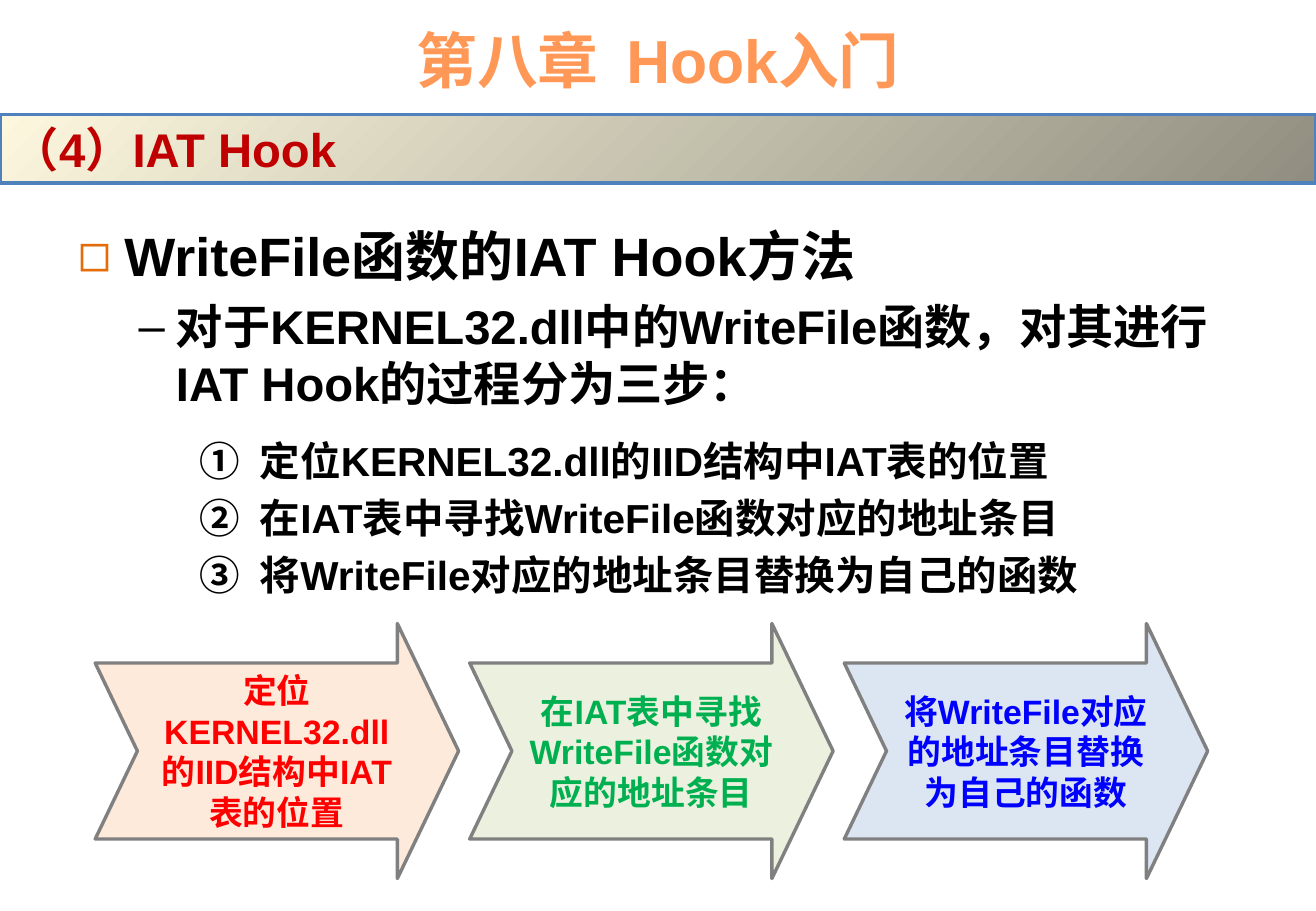
from dataclasses import dataclass

from lxml.etree import SubElement
from pptx import Presentation
from pptx.dml.color import RGBColor
from pptx.enum.shapes import MSO_SHAPE as Preset
from pptx.enum.text import MSO_ANCHOR as Anchor, PP_ALIGN as Align
from pptx.oxml.ns import qn
from pptx.util import Pt

EMU_PER_PX = 7620
FONT = "Arial"
COLORS = {
    "title": "FF9856",
    "black": "000000",
    "heading": "C00000",
    "bar_light": "FCF7DD",
    "bar_dark": "918E81",
    "bar_line": "4F81BD",
    "square": "E46C0A",
    "arrow_line": "808080",
    "peach": "FDEADA",
    "red": "FF0000",
    "pale_green": "EBF1DE",
    "green": "00B050",
    "pale_blue": "DCE6F2",
    "blue": "0000FF",
}


@dataclass(frozen=True)
class BulletStyle:
    level: int
    margin: int
    hanging: int
    size: int
    char: str = ""
    color: str = "black"


@dataclass(frozen=True)
class BodyLine:
    text: str
    style: BulletStyle
    space_before: int = 0


@dataclass(frozen=True)
class Step:
    text: str
    fill: str
    color: str


TOPIC = BulletStyle(0, 46, 46, 32, "◻", "square")
DETAIL = BulletStyle(1, 97, 37, 28, "–")
NUMBERED = BulletStyle(2, 180, 60, 24)

STEPS = [
    Step("定位KERNEL32.dll的IID结构中IAT表的位置", "peach", "red"),
    Step("在IAT表中寻找WriteFile函数对应的地址条目", "pale_green", "green"),
    Step("将WriteFile对应的地址条目替换为自己的函数", "pale_blue", "blue"),
]
BODY = [
    BodyLine("WriteFile函数的IAT Hook方法", TOPIC),
    BodyLine("对于KERNEL32.dll中的WriteFile函数，对其进行IAT Hook的过程分为三步：", DETAIL, 6),
    *(BodyLine(step.text, NUMBERED, 5 if index else 15) for index, step in enumerate(STEPS)),
]
ARROW_LEFT, ARROW_TOP, ARROW_WIDTH, ARROW_HEIGHT, ARROW_PITCH = 94, 616, 359, 252, 370


def px(length: int) -> int:
    return length * EMU_PER_PX


def rgb(name: str) -> RGBColor:
    return RGBColor.from_string(COLORS[name])


def add_run(paragraph, text: str, size: int, color: str) -> None:
    run = paragraph.add_run()
    run.text = text
    run.font.name = FONT
    run.font.size = Pt(size)
    run.font.bold = True
    run.font.color.rgb = rgb(color)


def add_text_box(slide, left: int, top: int, width: int, height: int):
    frame = slide.shapes.add_textbox(px(left), px(top), px(width), px(height)).text_frame
    frame.word_wrap = True
    return frame


def add_preset(slide, preset, left: int, top: int, width: int, height: int, line: str):
    shape = slide.shapes.add_shape(preset, px(left), px(top), px(width), px(height))
    shape.shadow.inherit = False
    shape.line.color.rgb = rgb(line)
    shape.line.width = Pt(2)
    shape.text_frame.vertical_anchor = Anchor.MIDDLE
    return shape


def set_bullet(paragraph, style: BulletStyle) -> None:
    """Give the paragraph its indent and a character or circled-number bullet."""
    paragraph.level = style.level
    properties = paragraph._p.get_or_add_pPr()
    properties.set("marL", str(px(style.margin)))
    properties.set("indent", str(-px(style.hanging)))
    bullet_color = SubElement(properties, qn("a:buClr"))
    SubElement(bullet_color, qn("a:srgbClr"), val=COLORS[style.color])
    SubElement(properties, qn("a:buFont"), typeface=FONT)
    if style.char:
        SubElement(properties, qn("a:buChar"), char=style.char)
    else:
        SubElement(properties, qn("a:buAutoNum"), type="circleNumDbPlain")


def set_corner_gradient(shape, start: str, end: str) -> None:
    """Fill with a circular gradient spreading from the top left corner."""
    shape.fill.gradient()
    for stop, color in zip(shape.fill.gradient_stops, (start, end)):
        stop.color.rgb = rgb(color)
    gradient = shape._element.spPr.find(qn("a:gradFill"))
    gradient.remove(gradient.find(qn("a:lin")))
    circle = SubElement(gradient, qn("a:path"), path="circle")
    SubElement(circle, qn("a:fillToRect"), r="100000", b="100000")


def add_title(slide) -> None:
    frame = add_text_box(slide, 65, 16, 1170, 85)
    frame.vertical_anchor = Anchor.MIDDLE
    paragraph = frame.paragraphs[0]
    paragraph.alignment = Align.CENTER
    add_run(paragraph, "第八章  Hook入门", 36, "title")


def add_body(slide) -> None:
    frame = add_text_box(slide, 65, 214, 1170, 444)
    for index, line in enumerate(BODY):
        paragraph = frame.add_paragraph() if index else frame.paragraphs[0]
        set_bullet(paragraph, line.style)
        if line.space_before:
            paragraph.space_before = Pt(line.space_before)
        add_run(paragraph, line.text, line.style.size, "black")


def add_heading_bar(slide) -> None:
    bar = add_preset(slide, Preset.RECTANGLE, 0, 113, 1300, 68, "bar_line")
    set_corner_gradient(bar, "bar_light", "bar_dark")
    paragraph = bar.text_frame.paragraphs[0]
    paragraph.alignment = Align.LEFT
    add_run(paragraph, "（4）IAT Hook", 28, "heading")


def add_step_arrow(slide, index: int, step: Step) -> None:
    left = ARROW_LEFT + index * ARROW_PITCH
    arrow = add_preset(slide, Preset.NOTCHED_RIGHT_ARROW, left, ARROW_TOP,
                       ARROW_WIDTH, ARROW_HEIGHT, "arrow_line")
    arrow.adjustments[0] = 0.69
    arrow.adjustments[1] = 0.24
    arrow.fill.solid()
    arrow.fill.fore_color.rgb = rgb(step.fill)
    paragraph = arrow.text_frame.paragraphs[0]
    paragraph.alignment = Align.CENTER
    add_run(paragraph, step.text, 20, step.color)


def main() -> None:
    presentation = Presentation()
    presentation.slide_width = px(1300)
    presentation.slide_height = px(900)
    slide = presentation.slides.add_slide(presentation.slide_layouts[6])
    add_title(slide)
    add_body(slide)
    add_heading_bar(slide)
    for index, step in enumerate(STEPS):
        add_step_arrow(slide, index, step)
    presentation.save("out.pptx")


if __name__ == "__main__":
    main()
